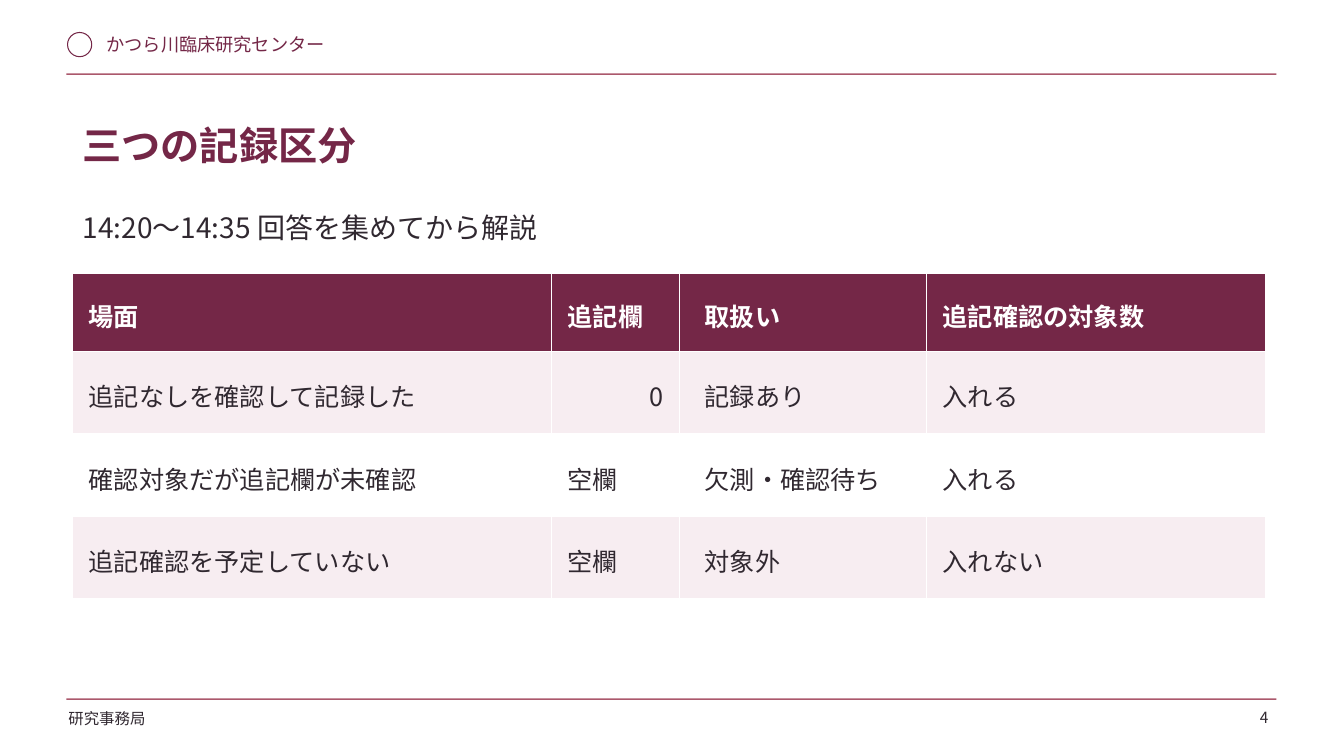
from dataclasses import dataclass

from lxml import etree
from pptx import Presentation
from pptx import util as u
from pptx.dml.color import RGBColor
from pptx.enum import shapes, text
from pptx.oxml import ns


@dataclass(frozen=True)
class Theme:
    font: str = "Noto Sans CJK JP"
    wine: str = "742747"
    rose: str = "AB586C"
    ink: str = "302830"
    band: str = "F7EDF1"
    white: str = "FFFFFF"
    title: int = 28
    lead: int = 20
    cell: int = 18
    brand: int = 13
    foot: int = 11
    spacing: float = 1.17


T = Theme()

# Grid: twelve one-inch columns from the left margin, ten rows down the slide
WIDTH, HEIGHT, MARGIN, COLS, ROWS = 13.33, 7.5, 0.66, 12, 10

HEADER = ["場面", "追記欄", "取扱い", "追記確認の対象数"]
RECORDS = [
    ["追記なしを確認して記録した", "0", "記録あり", "入れる"],
    ["確認対象だが追記欄が未確認", "空欄", "欠測・確認待ち", "入れる"],
    ["追記確認を予定していない", "空欄", "対象外", "入れない"],
]
COL_SPANS = [4.75, 1.27, 2.45, 3.36]
HEAD_SPAN, RECORD_SPAN = 1.04, 1.09


def cols(n):
    return u.Inches(n)


def rows(n):
    return u.Inches(n * HEIGHT / ROWS)


def area(col, row, width, height):
    return cols(MARGIN + col), rows(row), cols(width), rows(height)


def set_all(obj, values):
    for name, value in values.items():
        setattr(obj, name, value)


def write(tf, words, size, color, bold=False, align=text.PP_ALIGN.LEFT, spacing=T.spacing):
    p = tf.paragraphs[0]
    set_all(p, {"alignment": align, "line_spacing": spacing})
    r = p.add_run()
    r.text = words
    set_all(r.font, {"name": T.font, "size": u.Pt(size), "bold": bold})
    r.font.color.rgb = RGBColor.from_string(color)
    # East Asian glyphs take the same typeface
    ea = etree.SubElement(r.font._element, ns.qn("a:ea"))
    ea.set("typeface", T.font)


def label(s, box, words, size, color, inset=(0, 0), **style):
    tf = s.shapes.add_textbox(*box).text_frame
    side, top = (u.Inches(v) for v in inset)
    set_all(tf, {"word_wrap": True, "margin_left": side, "margin_right": side,
                 "margin_top": top, "margin_bottom": top})
    write(tf, words, size, color, **style)


def rule(s, row):
    sp = s.shapes.add_shape(shapes.MSO_SHAPE.RECTANGLE, *area(0, row, COLS, 0.02))
    sp.shadow.inherit = False
    sp.fill.solid()
    sp.fill.fore_color.rgb = RGBColor.from_string(T.rose)
    sp.line.fill.background()


def ring(s, col, row, size):
    left, top, side, _ = area(col, row, size, 0)
    sp = s.shapes.add_shape(shapes.MSO_SHAPE.OVAL, left, top, side, side)
    sp.shadow.inherit = False
    sp.fill.background()
    sp.line.color.rgb = RGBColor.from_string(T.wine)
    sp.line.width = u.Pt(0.75)


def borders(cell, color, width):
    props = cell._tc.get_or_add_tcPr()
    for place, side in enumerate(("lnL", "lnR", "lnT", "lnB")):
        ln = etree.Element(ns.qn("a:" + side), w=str(u.Pt(width)))
        fill = etree.SubElement(ln, ns.qn("a:solidFill"))
        etree.SubElement(fill, ns.qn("a:srgbClr"), val=color)
        props.insert(place, ln)


def table(s, col, row):
    data = [HEADER] + RECORDS
    spans = [HEAD_SPAN] + [RECORD_SPAN] * len(RECORDS)
    box = area(col, row, sum(COL_SPANS), sum(spans))
    tbl = s.shapes.add_table(len(data), len(HEADER), *box).table
    for column, span in zip(tbl.columns, COL_SPANS):
        column.width = cols(span)
    for i, (line, span) in enumerate(zip(data, spans)):
        tbl.rows[i].height = rows(span)
        head = i == 0
        fill = T.wine if head else T.band if i % 2 else T.white
        for j, words in enumerate(line):
            cell = tbl.cell(i, j)
            set_all(cell, {"vertical_anchor": text.MSO_ANCHOR.MIDDLE,
                           "margin_left": u.Inches(0.25 if j == 2 else 0.16),
                           "margin_right": u.Inches(0.16),
                           "margin_top": u.Inches(0.05),
                           "margin_bottom": u.Inches(0.05)})
            cell.fill.solid()
            cell.fill.fore_color.rgb = RGBColor.from_string(fill)
            borders(cell, T.white, 1)
            align = text.PP_ALIGN.RIGHT if words.isdigit() else text.PP_ALIGN.LEFT
            write(cell.text_frame, words, T.cell, T.white if head else T.ink, head, align)


def main():
    prs = Presentation()
    set_all(prs, {"slide_width": u.Inches(WIDTH), "slide_height": u.Inches(HEIGHT)})
    s = prs.slides.add_slide(prs.slide_layouts[6])

    # Header and footer
    ring(s, 0.01, 0.43, 0.24)
    label(s, area(0.3, 0.37, 3.3, 0.47), "かつら川臨床研究センター", T.brand, T.wine,
          inset=(0.1, 0.05), spacing=1.0)
    for row in (0.97, 9.24):
        rule(s, row)
    label(s, area(-0.08, 9.32, 1.8, 0.48), "研究事務局", T.foot, T.ink,
          inset=(0.1, 0.05), spacing=1.0)

    # Title, table and session time
    label(s, area(0.06, 1.36, 11.9, 1.08), "三つの記録区分", T.title, T.wine,
          inset=(0.1, 0.1), bold=True)
    table(s, 0.06, 3.61)
    label(s, area(0.16, 2.71, 11.6, 0.64), "14:20〜14:35 回答を集めてから解説", T.lead, T.ink)

    # Page number
    label(s, area(11.42, 9.32, 0.5, 0.36), "4", T.foot, T.ink, align=text.PP_ALIGN.RIGHT)

    prs.save("out.pptx")


if __name__ == "__main__":
    main()
